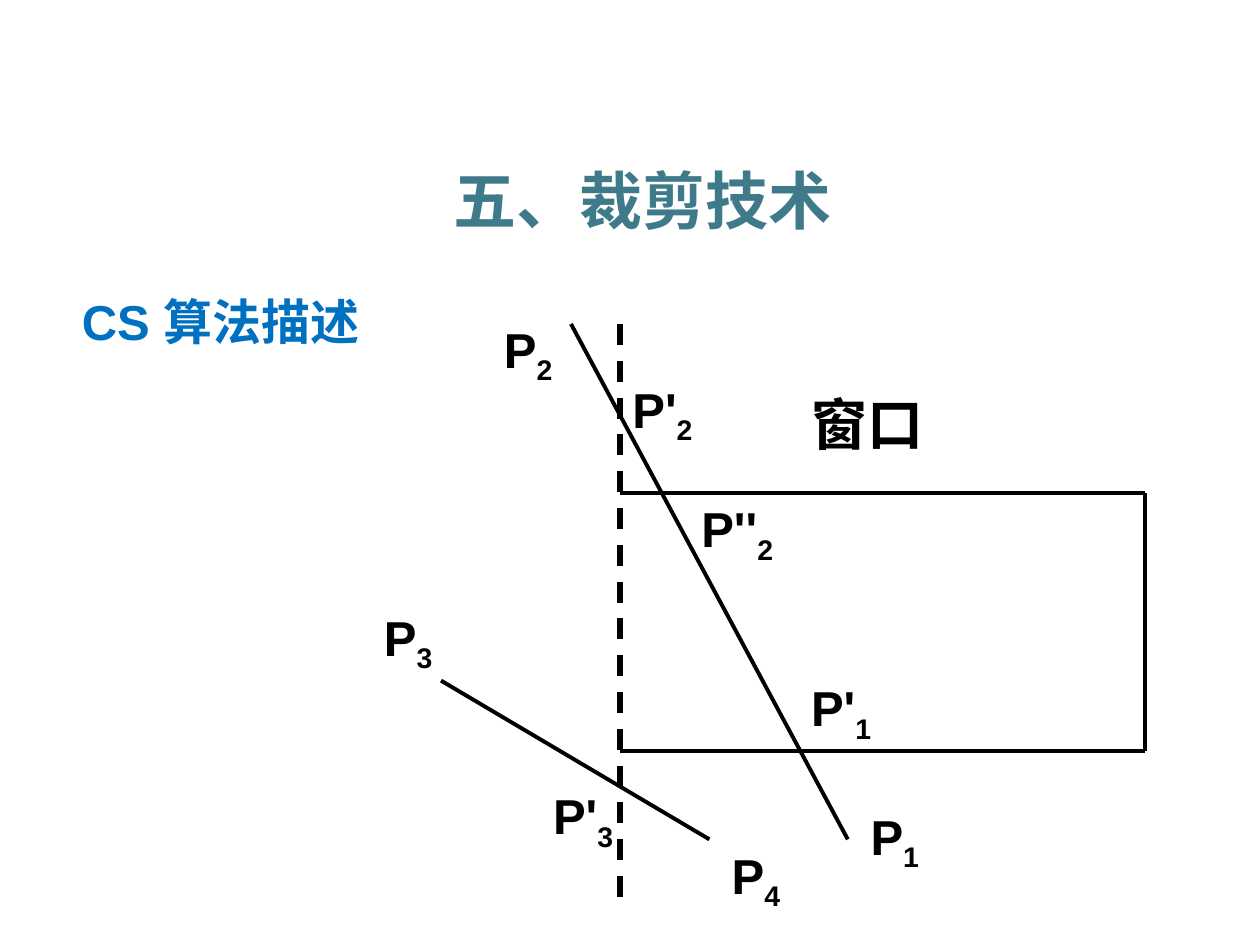
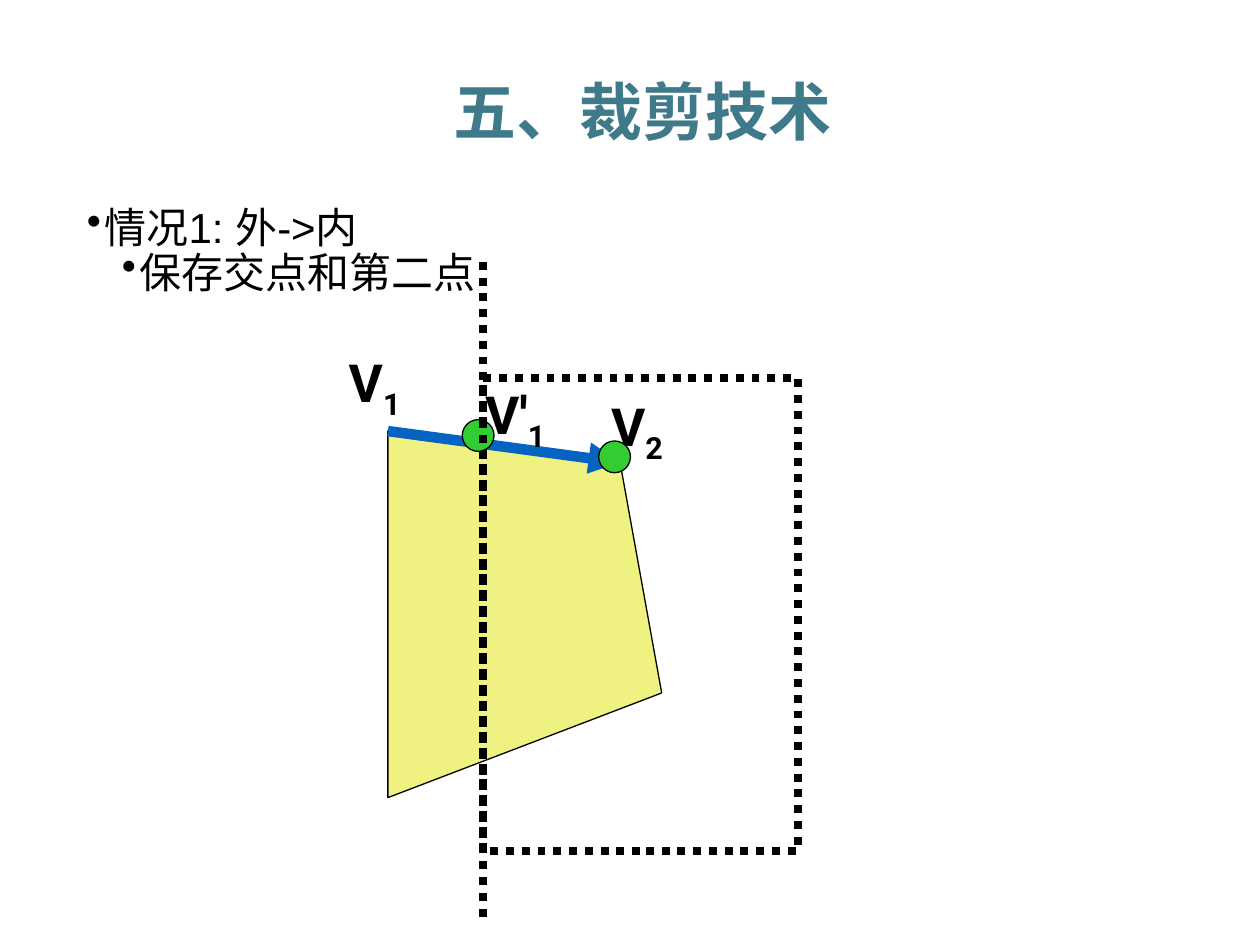
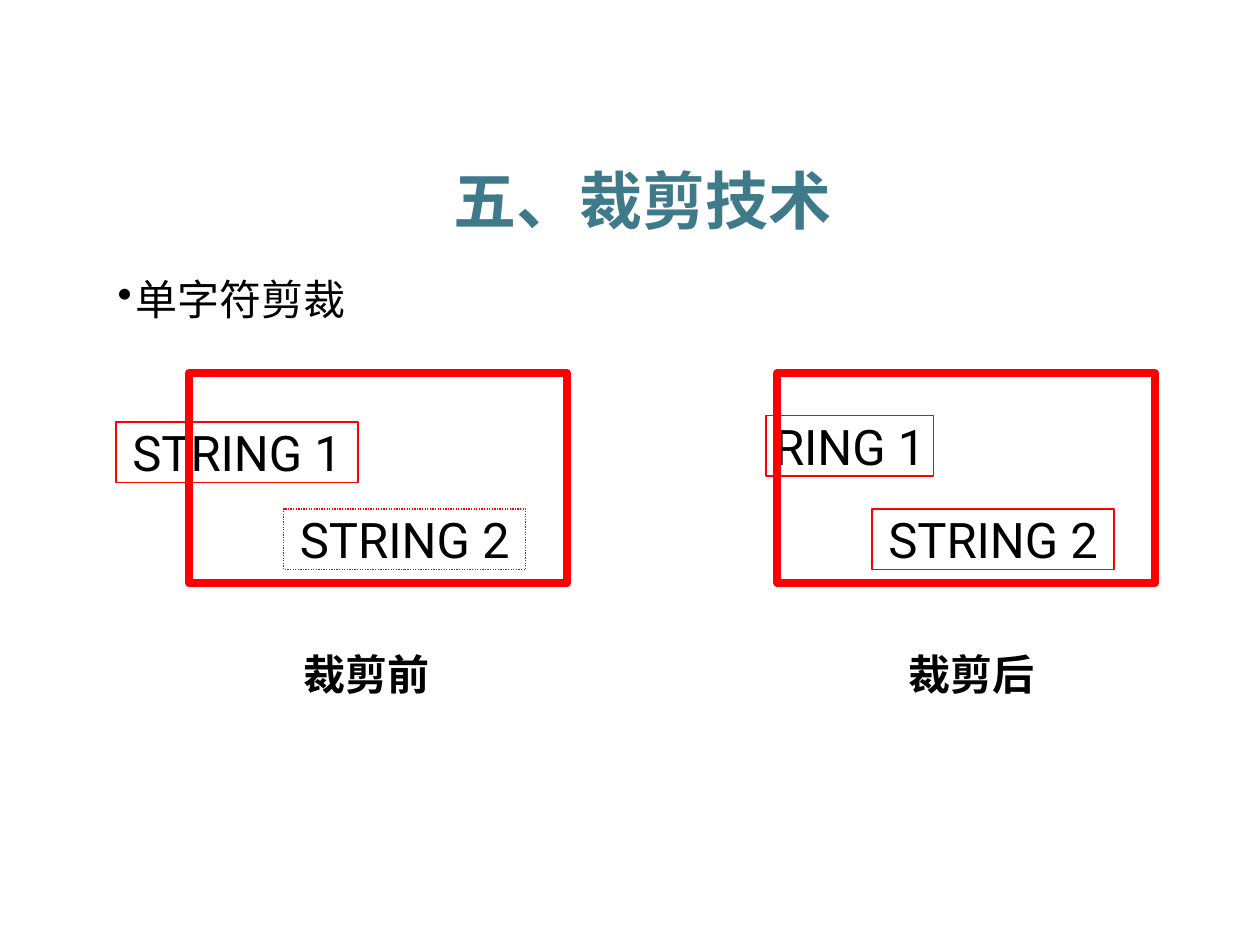
from lxml.etree import SubElement
from pptx import Presentation
from pptx.dml.color import RGBColor
from pptx.enum.dml import MSO_LINE
from pptx.enum.shapes import MSO_CONNECTOR, MSO_SHAPE
from pptx.enum.text import MSO_ANCHOR, PP_ALIGN
from pptx.oxml.ns import qn
from pptx.util import Cm, Pt

rgb = RGBColor.from_string
BLACK, RED, TEAL, BLUE = "000000", "FF0000", "3F7A8B", "0070C0"
ARROW_BLUE, YELLOW, GREEN = "0563C1", "EFF280", "33CC33"
CJK = "Noto Sans CJK SC"
STRAIGHT = MSO_CONNECTOR.STRAIGHT
DOTS = MSO_LINE.ROUND_DOT


def write(sp, text, size=24, font="Arial", color=BLACK, bold=False, align=PP_ALIGN.LEFT,
          anchor=MSO_ANCHOR.TOP, inset=True, wrap=True, bullet=None, spacing=None, before=None):
    """Add a paragraph; what follows "_" is subscript, bullet is the left margin in cm."""
    tf = sp.text_frame
    p = tf.add_paragraph() if tf.text else tf.paragraphs[0]
    tf.word_wrap, tf.vertical_anchor = wrap, anchor
    if not inset:
        tf.margin_left = tf.margin_right = tf.margin_top = tf.margin_bottom = 0
    p.alignment, p.line_spacing, p.space_before = align, spacing, before
    if bullet:
        pPr = p._p.get_or_add_pPr()
        pPr.set("marL", str(Cm(bullet)))
        pPr.set("indent", str(Cm(-0.36)))
        SubElement(pPr, qn("a:buChar"), char="•")
    base, _, sub = text.partition("_")
    for part in filter(None, (base, sub)):
        r = p.add_run()
        r.text = part
        r.font.name, r.font.size, r.font.bold = font, Pt(size), bold
        r.font.color.rgb = rgb(color)
        rPr = r._r.get_or_add_rPr()
        SubElement(rPr, qn("a:ea"), typeface=CJK)
        if part is sub:
            rPr.set("baseline", "-25000")


def style(sp, color=BLACK, width=0.75, dash=None, fill=None):
    """Set line and fill of a shape or connector and take its shadow away."""
    sp.line.color.rgb = rgb(color)
    sp.line.width = Pt(width)
    if dash:
        sp.line.dash_style = dash
    if fill:
        sp.fill.solid()
        sp.fill.fore_color.rgb = rgb(fill)
    elif hasattr(sp, "fill"):
        sp.fill.background()
    SubElement(sp._element.spPr, qn("a:effectLst"))


prs = Presentation()
prs.slide_width, prs.slide_height = Cm(25.4), Cm(19.05)

slides = []
for title_top in (3.12, 1.32, 3.12):
    s = prs.slides.add_slide(prs.slide_layouts[6])
    title = s.shapes.add_textbox(*map(Cm, (1.09, title_top, 23.72, 1.8)))
    write(title, "五、裁剪技术", size=36, font=CJK, color=TEAL, bold=True,
          align=PP_ALIGN.CENTER, anchor=MSO_ANCHOR.MIDDLE)
    slides.append(s)
lines_slide, polygon_slide, strings_slide = slides

# Slide 1: line clipping
s = lines_slide
heading = s.shapes.add_textbox(*map(Cm, (1.4, 5.51, 8.2, 1.68)))
write(heading, "CS 算法描述", size=28, color=BLUE, bold=True,
      anchor=MSO_ANCHOR.BOTTOM, spacing=1.2)

left, top, right, bottom = 12.5, 9.93, 23.09, 15.14
for ends, width, dash in [
    ((11.51, 6.53, 17.09, 16.92), 2.25, None),
    ((8.89, 13.72, 14.3, 16.92), 2.25, None),
    ((left, 6.53, left, 18.34), 3, MSO_LINE.DASH),
    ((left, top, right, top), 2.25, None),
    ((right, top, right, bottom), 2.25, None),
    ((right, bottom, left, bottom), 2.25, None),
]:
    style(s.shapes.add_connector(STRAIGHT, *map(Cm, ends)), width=width, dash=dash)

window_label = s.shapes.add_textbox(*map(Cm, (16.1, 7.72, 4.6, 1.6)))
write(window_label, "窗口", size=32, bold=True)
for text, x, y in [
    ("P_1", 17.3, 16.13), ("P_2", 9.91, 6.32), ("P'_2", 12.5, 7.52), ("P''_2", 13.89, 9.93),
    ("P'_1", 16.1, 13.54), ("P_4", 14.5, 16.92), ("P_3", 7.49, 12.12), ("P'_3", 10.9, 15.72),
]:
    label = s.shapes.add_textbox(*map(Cm, (x, y, 1.6 + 0.4 * text.count("'"), 1.45)))
    write(label, text, size=28, bold=True)

# Slide 2: polygon clipping, from outside to inside
s = polygon_slide
body = s.shapes.add_textbox(*map(Cm, (1.5, 3.73, 20.52, 2.41)))
write(body, "情况1: 外->内", bullet=0.36, spacing=1.2)
write(body, "保存交点和第二点", bullet=1.07, spacing=0.8, before=Pt(2.8))

v1, v2 = (7.82, 8.69), (12.5, 9.32)
outline = s.shapes.build_freeform(*map(Cm, v1))
outline.add_line_segments([(Cm(x), Cm(y)) for x, y in [(7.82, 16.08), (13.34, 13.97), v2]])
style(outline.convert_to_shape(), fill=YELLOW)

window = s.shapes.add_shape(MSO_SHAPE.RECTANGLE, *map(Cm, (9.73, 7.62, 6.35, 12 - 2.47)))
style(window, width=4.5, dash=DOTS)
edge = s.shapes.add_connector(STRAIGHT, *map(Cm, v1 + v2))
style(edge, ARROW_BLUE, 6)
SubElement(edge._element.spPr.find(qn("a:ln")), qn("a:tailEnd"), type="triangle")

for text, x, y, w in [("V_1", 6.78, 6.93, 1.68), ("V_2", 12.07, 7.82, 1.68),
                      ("V'_1", 9.53, 7.57, 2.34)]:
    label = s.shapes.add_textbox(*map(Cm, (x, y, w, 1.52)))
    write(label, text, size=30, font="Roboto", bold=True)

crossing = s.shapes.add_shape(MSO_SHAPE.OVAL, *map(Cm, (9.32, 8.46, 0.64, 0.64)))
style(crossing, fill=GREEN)
clip_line = s.shapes.add_connector(STRAIGHT, *map(Cm, (9.73, 5.28, 9.73, 18.62)))
style(clip_line, width=4.5, dash=DOTS)
second_point = s.shapes.add_shape(MSO_SHAPE.OVAL, *map(Cm, (12.07, 8.89, 0.64, 0.64)))
style(second_point, fill=GREEN)

# Slide 3: character clipping, before and after
s = strings_slide
body = s.shapes.add_textbox(*map(Cm, (2.12, 5.51, 17, 1.17)))
write(body, "单字符剪裁", bullet=0.36, spacing=0.9)

centred = dict(font="Roboto", align=PP_ALIGN.CENTER, anchor=MSO_ANCHOR.MIDDLE, inset=False)
for window_x, caption, caption_x, strings in [
    (3.81, "裁剪前", 6.12,
     [("STRING 1", 2.34, 8.51, 4.88, None), ("STRING 2", 5.72, 10.26, 4.88, DOTS)]),
    (15.67, "裁剪后", 18.31,
     [("RING 1", 15.44, 8.38, 3.38, None), ("STRING 2", 17.58, 10.26, 4.88, None)]),
]:
    for text, x, y, w, dash in strings:
        string_box = s.shapes.add_shape(MSO_SHAPE.RECTANGLE, *map(Cm, (x, y, w, 1.22)))
        style(string_box, RED, dash=dash)
        write(string_box, text, size=28, **centred)
    window = s.shapes.add_shape(MSO_SHAPE.RECTANGLE, *map(Cm, (window_x, 7.52, 7.62, 4.24)))
    style(window, RED, 4.5)
    label = s.shapes.add_textbox(*map(Cm, (caption_x, 13.08, 2.54, 1.02)))
    write(label, caption, bold=True, wrap=False, **centred)

prs.save("out.pptx")
